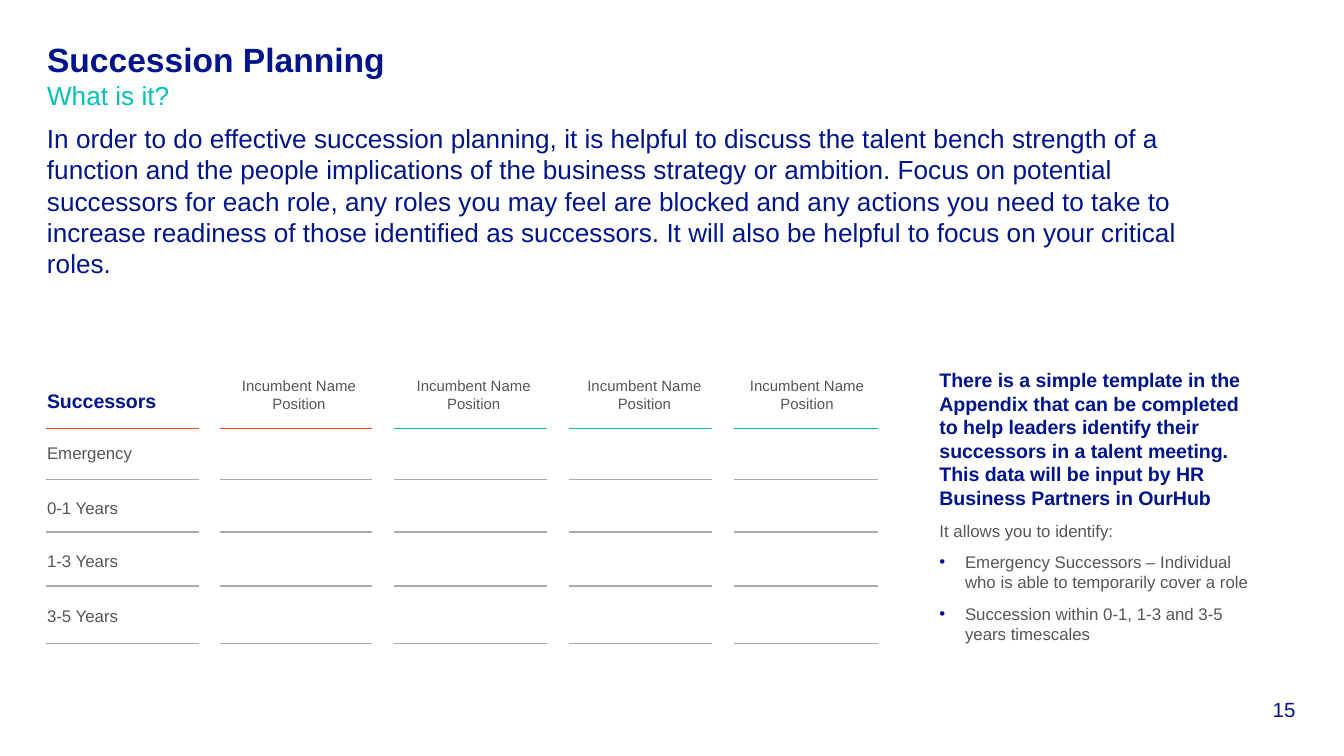
from lxml.etree import SubElement
from pptx import Presentation
from pptx.dml.color import RGBColor
from pptx.enum.shapes import MSO_CONNECTOR
from pptx.enum.text import MSO_ANCHOR, MSO_AUTO_SIZE, PP_ALIGN
from pptx.oxml.ns import qn
from pptx.util import Inches, Pt

NAVY, TEAL, GRAY, RULE_GRAY = "00148C", "07BFB7", "55555A", "AAAAAC"


def color(hex_string):
    return RGBColor.from_string(hex_string)


def fill_text(shape, box, lines, align=PP_ALIGN.LEFT, anchor=MSO_ANCHOR.TOP, space_after=6):
    """Place a shape and write its lines, each (text, size, color, bold, bulleted)."""
    shape.left, shape.top, shape.width, shape.height = [Inches(value) for value in box]
    frame = shape.text_frame
    frame.word_wrap = True
    frame.auto_size = MSO_AUTO_SIZE.NONE
    frame.vertical_anchor = anchor
    frame.margin_left = frame.margin_right = frame.margin_top = frame.margin_bottom = 0
    frame.text = "\n".join(line[0] for line in lines)
    for paragraph, (_, size, hex_string, bold, bulleted) in zip(frame.paragraphs, lines):
        if bulleted:
            properties = paragraph._p.get_or_add_pPr()
            properties.set("marL", str(Inches(0.19)))
            properties.set("indent", str(-Inches(0.19)))
            bullet_color = SubElement(properties, qn("a:buClr"))
            SubElement(bullet_color, qn("a:srgbClr"), val=NAVY)
            SubElement(properties, qn("a:buFont"), typeface="Arial")
            SubElement(properties, qn("a:buChar"), char="•")
        paragraph.alignment = align
        paragraph.line_spacing = 1.0
        paragraph.space_before = Pt(0)
        paragraph.space_after = Pt(space_after)
        for run in paragraph.runs:
            run.font.name = "Arial"
            run.font.size = Pt(size)
            run.font.bold = bold
            run.font.color.rgb = color(hex_string)


presentation = Presentation()
presentation.slide_width = Inches(10)
presentation.slide_height = Inches(10) * 9 // 16
slide = presentation.slides.add_slide(presentation.slide_layouts[5])
shapes = slide.shapes

# Title and subtitle
title = shapes.title
fill_text(title, (0.35, 0.29, 9.29, 0.49),
          [("Succession Planning\vWhat is it?", 18, NAVY, True, False)], space_after=0)
subtitle_run = title.text_frame.paragraphs[0].runs[1]
subtitle_run.font.size = Pt(14)
subtitle_run.font.bold = False
subtitle_run.font.color.rgb = color(TEAL)

# Introduction, sidebar and page number
introduction = (
    "In order to do effective succession planning, it is helpful to discuss the talent bench "
    "strength of a function and the people implications of the business strategy or ambition. "
    "Focus on potential successors for each role, any roles you may feel are blocked and any "
    "actions you need to take to increase readiness of those identified as successors. It will "
    "also be helpful to focus on your critical roles."
)
sidebar_heading = (
    "There is a simple template in the Appendix that can be completed to help leaders identify "
    "their successors in a talent meeting. This data will be input by HR Business Partners in OurHub"
)
sidebar = [
    (sidebar_heading, 10.5, NAVY, True, False),
    ("It allows you to identify:", 9, GRAY, False, False),
    ("Emergency Successors – Individual who is able to temporarily cover a role",
     9, GRAY, False, True),
    ("Succession within 0-1, 1-3 and 3-5 years timescales", 9, GRAY, False, True),
]
fill_text(shapes.add_textbox(0, 0, 0, 0), (0.35, 0.91, 8.9, 0.94),
          [(introduction, 14, NAVY, False, False)], space_after=12)
fill_text(shapes.add_textbox(0, 0, 0, 0), (6.99, 2.74, 2.39, 2.07), sidebar)
fill_text(shapes.add_textbox(0, 0, 0, 0), (9.06, 5.18, 0.58, 0.19),
          [("15", 11, NAVY, False, False)],
          align=PP_ALIGN.RIGHT, anchor=MSO_ANCHOR.BOTTOM, space_after=0)

# Row labels and column headings of the successor grid
fill_text(shapes.add_textbox(0, 0, 0, 0), (0.35, 2.89, 1.15, 0.18),
          [("Successors", 10.5, NAVY, True, False)])
for label, top in zip(["Emergency", "0-1 Years", "1-3 Years", "3-5 Years"],
                      [3.29, 3.7, 4.1, 4.51]):
    fill_text(shapes.add_textbox(0, 0, 0, 0), (0.35, top, 1.15, 0.15),
              [(label, 9, GRAY, False, False)])
for left in (1.65, 2.95, 4.22, 5.43):
    fill_text(shapes.add_textbox(0, 0, 0, 0), (left, 2.8, 1.15, 0.27),
              [("Incumbent Name\vPosition", 8, GRAY, False, False)], align=PP_ALIGN.CENTER)

# Rules: a coloured one under each heading, gray ones under the rows
columns = [
    (0.34, 1.48, "FA4110"),
    (1.64, 2.77, "FA4616"),
    (2.93, 4.07, "00BEB4"),
    (4.23, 5.3, "00BEB4"),
    (5.46, 6.53, "00BEB4"),
]
for row, y in enumerate([3.19, 3.57, 3.96, 4.36, 4.79]):
    for start, end, heading_color in columns:
        rule = shapes.add_connector(MSO_CONNECTOR.STRAIGHT,
                                    Inches(start), Inches(y), Inches(end), Inches(y))
        rule.line.width = Pt(0.75)
        rule.line.color.rgb = color(heading_color if row == 0 else RULE_GRAY)
        SubElement(rule._element.spPr, qn("a:effectLst"))

presentation.save("out.pptx")
